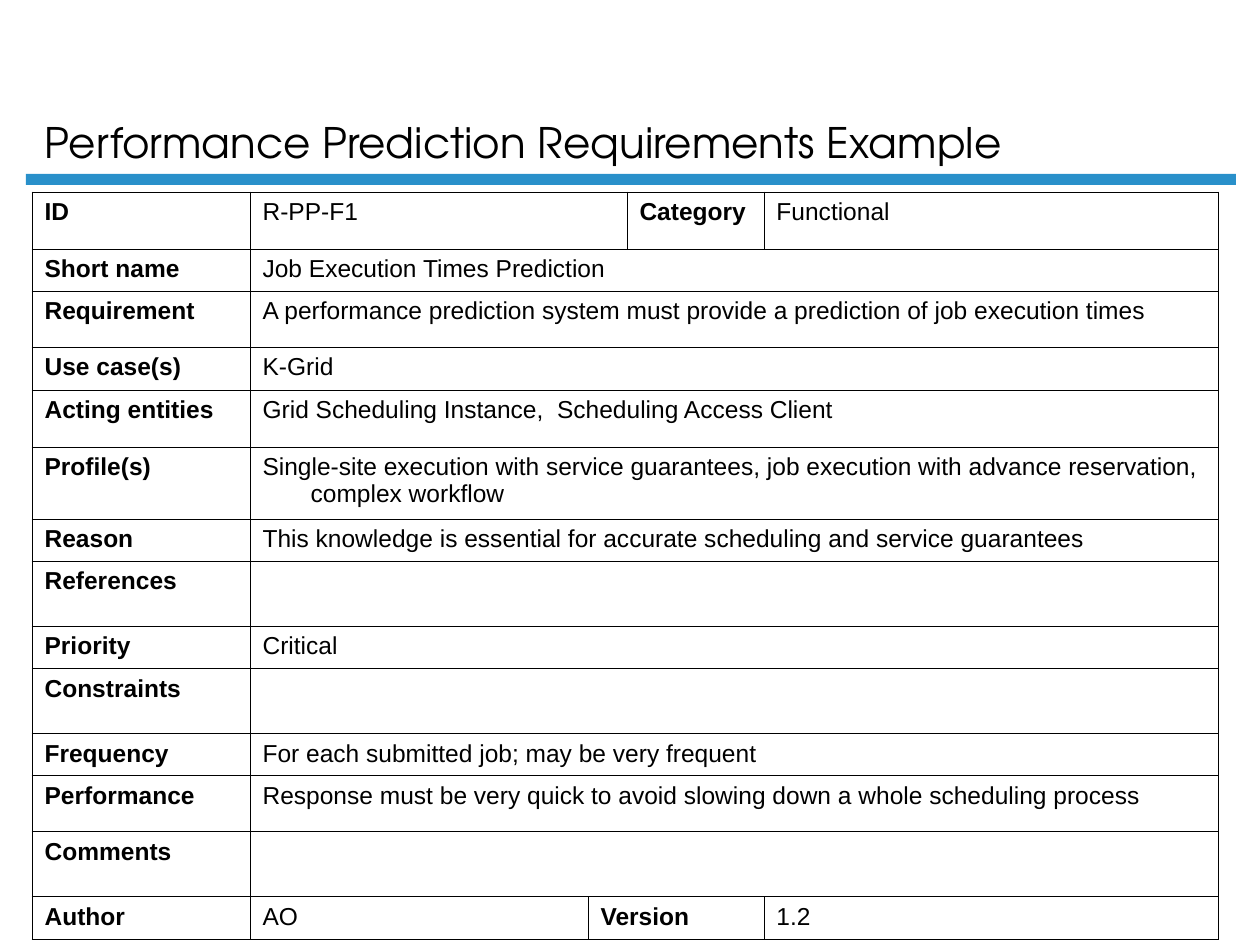
from pptx import Presentation
from pptx.dml.color import RGBColor
from pptx.enum.shapes import MSO_SHAPE
from pptx.enum.text import MSO_ANCHOR, MSO_AUTO_SIZE, PP_ALIGN
from pptx.oxml import parse_xml
from pptx.oxml.ns import nsdecls
from pptx.util import Pt

PX = 914400 / 126  # EMU in one px


def px(*lengths):
    """Turn px lengths into EMU."""
    return [round(n * PX) for n in lengths]


def color(hex_text):
    return RGBColor.from_string(hex_text)


prs = Presentation()
prs.slide_width, prs.slide_height = px(1260, 945)
s = prs.slides.add_slide(prs.slide_layouts[5])

# Title and the bar under it
title = s.shapes.title
title.left, title.top, title.width, title.height = px(32, 15, 1079, 158)
tf = title.text_frame
tf.auto_size = MSO_AUTO_SIZE.NONE
tf.vertical_anchor = MSO_ANCHOR.BOTTOM
tf.text = "Performance Prediction Requirements Example"
p = tf.paragraphs[0]
p.alignment = PP_ALIGN.LEFT
font = p.runs[0].font
for name, value in {"name": "TeX Gyre Adventor", "size": Pt(24)}.items():
    setattr(font, name, value)
font.color.rgb = color("000000")

bar = s.shapes.add_shape(MSO_SHAPE.RECTANGLE, *px(26, 174, 1210, 11))
bar.shadow.inherit = False
bar.fill.solid()
bar.fill.fore_color.rgb = color("2990CA")
bar.line.fill.background()

# Requirement table: row height, then text by column
COLUMNS = [218, 338, 39, 137, 454]
ROWS = [
    (57, {0: "ID", 1: "R-PP-F1", 3: "Category", 4: "Functional"}),
    (42, {0: "Short name", 1: "Job Execution Times Prediction"}),
    (56, {0: "Requirement", 1: "A performance prediction system must provide "
                               "a prediction of job execution times"}),
    (43, {0: "Use case(s)", 1: "K-Grid"}),
    (57, {0: "Acting entities",
          1: "Grid Scheduling Instance,  Scheduling Access Client"}),
    (72, {0: "Profile(s)", 1: "Single-site execution with service guarantees, "
                              "job execution with advance reservation,\v"
                              "complex workflow"}),
    (42, {0: "Reason", 1: "This knowledge is essential for accurate "
                          "scheduling and service guarantees"}),
    (65, {0: "References", 1: ""}),
    (43, {0: "Priority", 1: "Critical"}),
    (65, {0: "Constraints", 1: ""}),
    (42, {0: "Frequency", 1: "For each submitted job; may be very frequent"}),
    (56, {0: "Performance", 1: "Response must be very quick to avoid slowing "
                               "down a whole scheduling process"}),
    (65, {0: "Comments", 1: ""}),
    (43, {0: "Author", 1: "AO", 2: "Version", 4: "1.2"}),
]
BOLD_TEXTS = {row[0] for _, row in ROWS} | {"Category", "Version"}
HANG, = px(48)

height = sum(h for h, _ in ROWS)
table = s.shapes.add_table(len(ROWS), len(COLUMNS),
                           *px(32, 192, sum(COLUMNS), height)).table
table.first_row = table.horz_banding = False
for column, width in zip(table.columns, px(*COLUMNS)):
    column.width = width

for i, (row_height, texts) in enumerate(ROWS):
    table.rows[i].height, = px(row_height)
    starts = list(texts)
    for start, end in zip(starts, starts[1:] + [len(COLUMNS)]):
        if end - start > 1:
            table.cell(i, start).merge(table.cell(i, end - 1))
        if not texts[start]:
            continue
        tf = table.cell(i, start).text_frame
        tf.text = texts[start]
        p = tf.paragraphs[0]
        pPr = p._p.get_or_add_pPr()
        pPr.set("marL", str(HANG))
        pPr.set("indent", str(-HANG))
        text_format = {"name": "Arial", "size": Pt(14),
                       "bold": texts[start] in BOLD_TEXTS}
        for r in p.runs:
            for name, value in text_format.items():
                setattr(r.font, name, value)
            r.font.color.rgb = color("000000")

for cell in table.iter_cells():
    tcPr = cell._tc.get_or_add_tcPr()
    for side in "LRTB":
        tcPr.append(parse_xml(
            f'<a:ln{side} {nsdecls("a")} w="4318"><a:solidFill>'
            f'<a:srgbClr val="000000"/></a:solidFill></a:ln{side}>'))
    cell.fill.background()

prs.save("out.pptx")
